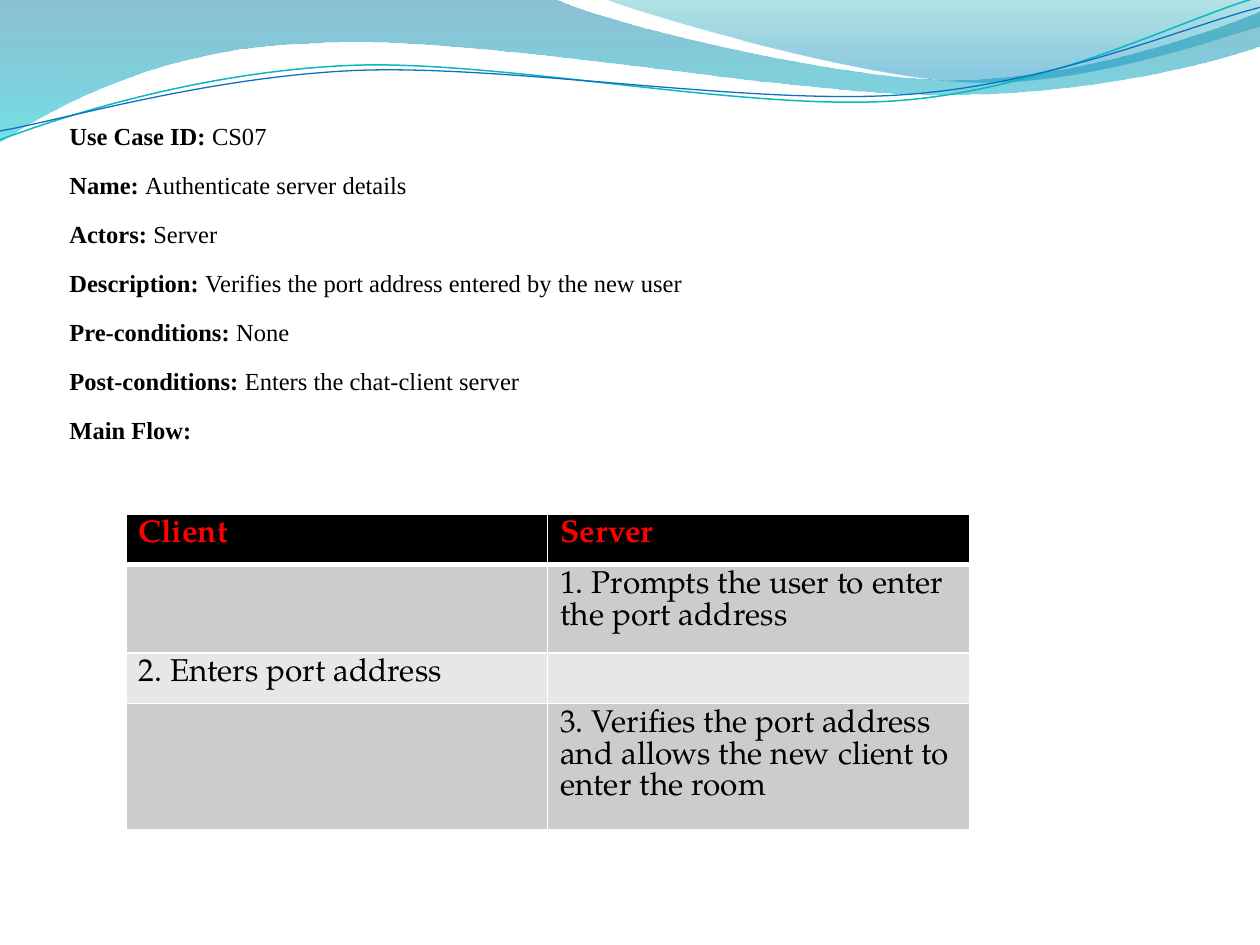
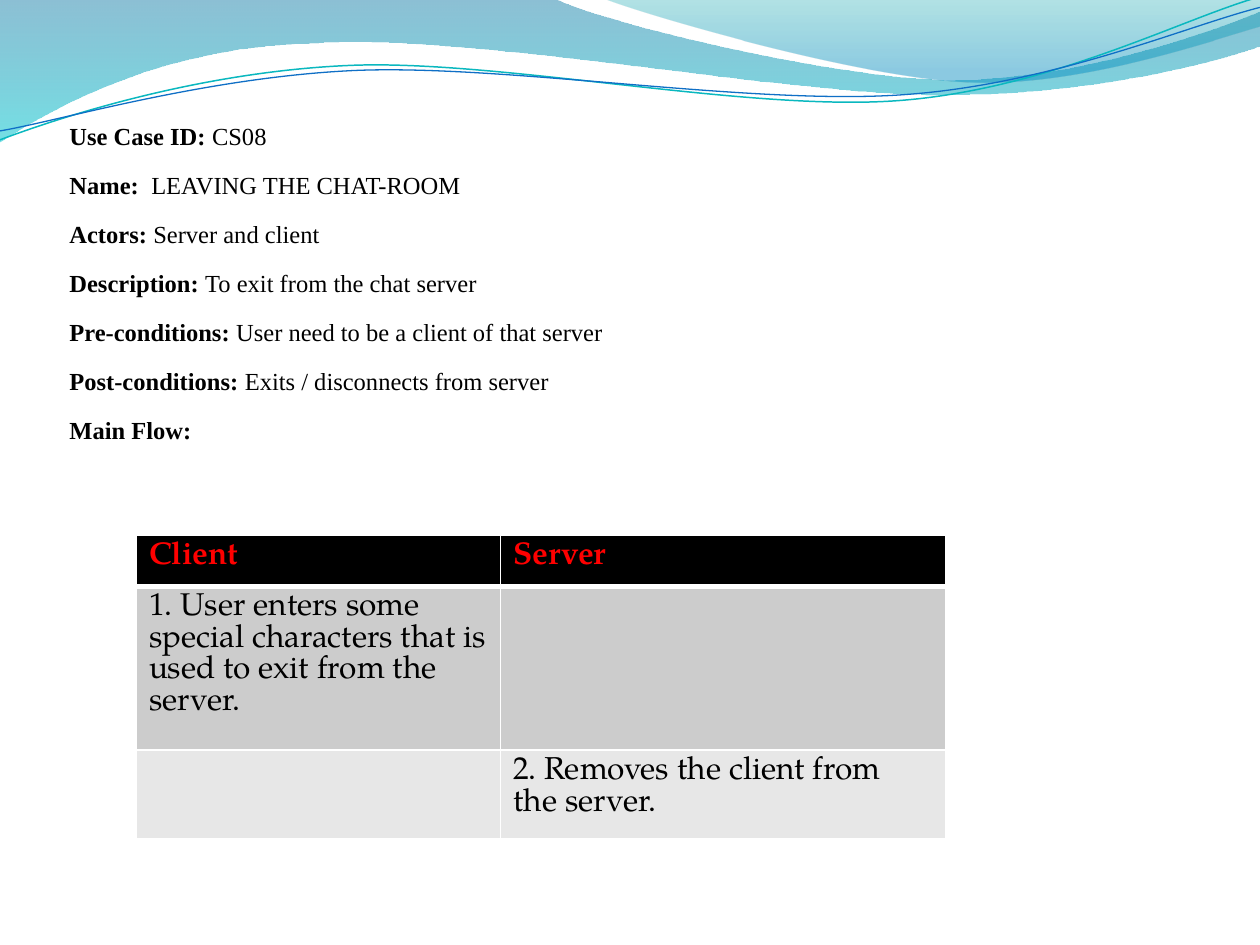
"""Build two use case slides with a wave header, a fact list and a flow table."""
from lxml import etree
from pptx import Presentation, util as u
from pptx.dml.color import RGBColor
from pptx.oxml.ns import qn

BLACK = RGBColor(0, 0, 0)
WHITE = RGBColor(0xFF, 0xFF, 0xFF)
RED = RGBColor(0xFF, 0, 0)
BANDS = [RGBColor(0xE7, 0xE7, 0xE7), RGBColor(0xCC, 0xCC, 0xCC)]
BLUE = RGBColor(0x00, 0x74, 0xA1)
CYAN = RGBColor(0x00, 0xC6, 0xCF)
TEAL = RGBColor(0x00, 0xA1, 0xA9)
SKY = RGBColor(0x00, 0x8B, 0xBF)
AQUA = RGBColor(0x0A, 0xB8, 0xBF)
ROYAL = RGBColor(0x0F, 0x6F, 0xC6)
SERIF = "Times New Roman"
BOOK = "TeX Gyre Pagella"
EDGES = [("a:lnL", 1), ("a:lnR", 1), ("a:lnT", 1), ("a:lnB", 3)]

WAVES = [
    ([(0, 0), (11.18, -0.03), (12.09, 0.43, 16.87, 1.6, 19.25, 1.6),
      (21.67, 1.6, 24.33, 0.66, 25.4, 0.23), (25.43, 0.91),
      (24.97, 1.12, 22.1, 1.93, 18.95, 1.91), (15.8, 1.91, 9.7, 0.71, 6.53, 0.86),
      (3.28, 0.91, 1.17, 2.11, -0.03, 2.87), (0, 0)],
     [(0, BLUE, 45), (1, CYAN, 55)]),
    ([(12.17, -0.03), (12.93, 0.28, 17.32, 1.57, 19.53, 1.65),
      (21.74, 1.75, 24.41, 0.81, 25.4, 0.53), (25.4, 0), (12.17, -0.03)],
     [(0, TEAL, 30), (0.8, SKY, 45)]),
]
LINES = [
    ([(0, 2.82), (1.22, 2.36, 4.01, 1.45, 7.04, 1.32),
      (10.03, 1.19, 15.06, 2.26, 18.11, 2.03), (21.16, 1.8, 23.83, 0.38, 25.35, -0.05)],
     AQUA, 0.85),
    ([(0, 2.64), (1.19, 2.44, 4.17, 1.55, 7.19, 1.42),
      (10.24, 1.3, 15.16, 2.13, 18.21, 1.91), (21.23, 1.7, 23.9, 0.53, 25.4, 0.15)],
     ROYAL, 0.75),
]

LABELS = ["Use Case ID: ", "Name: ", "Actors: ", "Description: ",
          "Pre-conditions: ", "Post-conditions: ", "Main Flow:"]
CASES = [
    {"facts": ["CS07", "Authenticate server details", "Server",
               "Verifies the port address entered by the new user", "None",
               "Enters the chat-client server", ""],
     "at": (2.54, 10.36), "cols": [8.5, 8.5], "rows": [1.02, 1.78, 1.01, 2.54],
     "flow": [("Client", "Server"),
              ("", "1. Prompts the user to enter the port address"),
              ("2. Enters port address", ""),
              ("", "3. Verifies the port address and allows the new client "
                   "to enter the room")]},
    {"facts": ["CS08", " LEAVING THE CHAT-ROOM", "Server and client",
               "To exit from the chat server",
               "User need to be a client of that server",
               "Exits / disconnects from server", ""],
     "at": (2.75, 10.8), "cols": [7.34, 8.97], "rows": [1.02, 3.3, 1.77],
     "flow": [("Client", "Server"),
              ("1. User enters some special characters that is used to exit "
               "from the server.", ""),
              ("", "2. Removes the client from the server.")]},
]


def trace(slide, steps, close):
    dots = [(u.Cm(step[n]), u.Cm(step[n + 1]))
            for step in steps for n in range(0, len(step), 2)]
    pen = slide.shapes.build_freeform(*dots[0])
    pen.add_line_segments(dots[1:], close=close)
    shape = pen.convert_to_shape()
    shape.shadow.inherit = False
    legs = iter(list(shape.element.iter(qn("a:lnTo"))))
    for step in steps[1:]:
        leg = next(legs)
        if len(step) == 6:
            leg.tag = qn("a:cubicBezTo")
            for _ in range(2):
                spare = next(legs)
                leg.append(spare[0])
                spare.getparent().remove(spare)
    return shape


deck = Presentation()
deck.slide_width, deck.slide_height = u.Cm(25.4), u.Cm(19.05)

for case in CASES:
    slide = deck.slides.add_slide(deck.slide_layouts[6])

    for steps, stops in WAVES:
        wave = trace(slide, steps, True)
        wave.line.fill.background()
        wave.fill.gradient()
        wave.fill.gradient_angle = 270
        for stop, (place, tint, _) in zip(wave.fill.gradient_stops, stops):
            stop.position = place
            stop.color.rgb = tint
        for node, (_, _, alpha) in zip(wave.element.iter(qn("a:srgbClr")), stops):
            etree.SubElement(node, qn("a:alpha")).set("val", str(alpha * 1000))

    for steps, tint, width in LINES:
        line = trace(slide, steps, False)
        line.fill.background()
        line.line.color.rgb = tint
        line.line.width = u.Pt(width)

    box = slide.shapes.add_textbox(u.Cm(1.15), u.Cm(1.92), u.Cm(20.52), u.Cm(8))
    frame = box.text_frame
    frame.word_wrap = True
    for i, (label, fact) in enumerate(zip(LABELS, case["facts"])):
        para = frame.paragraphs[0] if i == 0 else frame.add_paragraph()
        para.line_spacing = u.Pt(28)
        para.font.name, para.font.size = SERIF, u.Pt(14)
        para.font.color.rgb = BLACK
        run = para.add_run()
        run.text, run.font.bold = label, True
        if fact:
            para.add_run().text = fact

    cols, rows = case["cols"], case["rows"]
    left, top = case["at"]
    table = slide.shapes.add_table(len(rows), len(cols), u.Cm(left), u.Cm(top),
                                   u.Cm(sum(cols)), u.Cm(sum(rows))).table
    for col, width in zip(table.columns, cols):
        col.width = u.Cm(width)
    for r, (height, words) in enumerate(zip(rows, case["flow"])):
        table.rows[r].height = u.Cm(height)
        for c, word in enumerate(words):
            cell = table.cell(r, c)
            cell.fill.solid()
            cell.fill.fore_color.rgb = BANDS[r % 2] if r else BLACK
            if r == 0:
                props = cell.fill._xPr
                for n, (edge, width) in enumerate(EDGES):
                    rule = etree.Element(qn(edge), w=str(u.Pt(width)))
                    paint = etree.SubElement(rule, qn("a:solidFill"))
                    etree.SubElement(paint, qn("a:srgbClr"), val=str(WHITE))
                    props.insert(n, rule)
            if word:
                cell.text = word
                para = cell.text_frame.paragraphs[0]
                para.font.name, para.font.size = BOOK, u.Pt(18)
                para.font.bold = r == 0
                para.font.color.rgb = BLACK if r else RED

deck.save("out.pptx")
